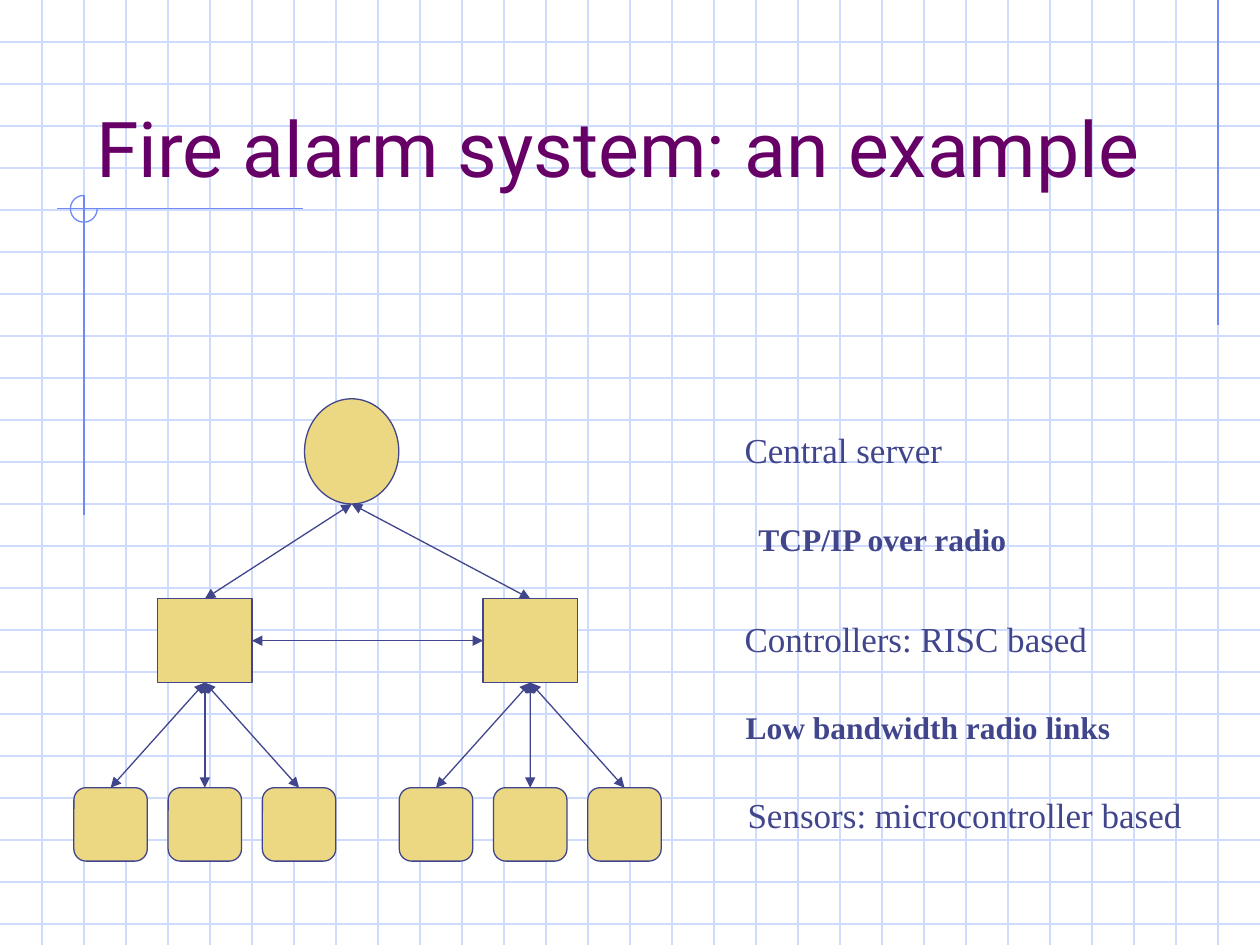
"""Build the fire alarm system slide: a server, its controllers and their sensors."""
import pptx
import pptx.dml.color
import pptx.enum.shapes
import pptx.enum.text
import pptx.oxml
import pptx.oxml.ns
import pptx.util

Cm = pptx.util.Cm
Kind = pptx.enum.shapes.MSO_SHAPE
Anchor = pptx.enum.text.MSO_ANCHOR

WIDE, HIGH = 25.4, 19.05
STEP = WIDE / 30
GRID, RULE, INK, SAND, PLUM = "CFDBFD", "6F89F7", "40458C", "ECD882", "660066"
SERIF = "Times New Roman"
LABELS = [
    ("Central server", 14.76, 8.51, 20, False),
    ("TCP/IP over radio", 15.04, 10.36, 18, True),
    ("Controllers: RISC based", 14.76, 12.32, 20, False),
    ("Low bandwidth radio links", 14.78, 14.15, 18, True),
    ("Sensors: microcontroller based", 14.82, 15.88, 20, False),
]


def color(code):
    return pptx.dml.color.RGBColor.from_string(code)


def add_line(slide, x1, y1, x2, y2, code):
    line = slide.shapes.add_connector(
        pptx.enum.shapes.MSO_CONNECTOR.STRAIGHT, Cm(x1), Cm(y1), Cm(x2), Cm(y2))
    line.line.color.rgb = color(code)
    line.line.width = pptx.util.Pt(0.75)
    props = line._element.spPr
    props.append(pptx.oxml.parse_xml(
        "<a:effectLst %s/>" % pptx.oxml.ns.nsdecls("a")))
    return line


def add_link(slide, x1, y1, x2, y2):
    link = add_line(slide, x1, y1, x2, y2, INK)
    stroke = link.line._get_or_add_ln()
    for end in ("headEnd", "tailEnd"):
        stroke.append(pptx.oxml.parse_xml(
            '<a:%s %s type="triangle"/>' % (end, pptx.oxml.ns.nsdecls("a"))))
    return link


def add_node(slide, kind, mid, top, width, height):
    node = slide.shapes.add_shape(
        kind, Cm(mid - width / 2), Cm(top), Cm(width), Cm(height))
    node.shadow.inherit = False
    node.fill.solid()
    node.fill.fore_color.rgb = color(SAND)
    node.line.color.rgb = color(INK)
    node.line.width = pptx.util.Pt(0.75)
    return node


def add_text(slide, text, left, top, width, height, size, font, code, bold=False):
    box = slide.shapes.add_textbox(Cm(left), Cm(top), Cm(width), Cm(height))
    frame = box.text_frame
    frame.word_wrap = True
    frame.text = text
    face = frame.paragraphs[0].runs[0].font
    face.size = pptx.util.Pt(size)
    face.name = font
    face.bold = bold
    face.color.rgb = color(code)
    return frame


def add_grid(slide):
    for row in range(1, 23):
        add_line(slide, 0, row * STEP, WIDE, row * STEP, GRID)
    for col in range(1, 30):
        add_line(slide, col * STEP, 0, col * STEP, HIGH, GRID)


def add_trim(slide):
    add_line(slide, 29 * STEP, 0, 29 * STEP, 6.55, RULE)
    add_line(slide, 6.1, 4.21, 1.14, 4.21, RULE)
    add_line(slide, 2 * STEP, 3.94, 2 * STEP, 10.39, RULE)
    arc = slide.shapes.add_shape(Kind.ARC, Cm(1.42), Cm(3.94), Cm(0.54), Cm(0.54))
    arc.adjustments[0] = 0
    arc.adjustments[1] = 162
    arc.shadow.inherit = False
    arc.fill.background()
    arc.line.color.rgb = color(RULE)
    arc.line.width = pptx.util.Pt(0.75)


def add_cluster(slide, mid):
    """Add a controller with three linked sensors and return the controller."""
    hub = add_node(slide, Kind.RECTANGLE, mid, 12.07, 1.9, 1.69)
    for place in (-1, 0, 1):
        spot = mid + place * 1.9
        sensor = add_node(slide, Kind.ROUNDED_RECTANGLE, spot, 15.88, 1.48, 1.48)
        link = add_link(slide, spot, 15.88, mid, 13.76)
        link.begin_connect(sensor, 0)
        link.end_connect(hub, 2)
    return hub


def add_system(slide):
    mids = (4.13, 10.69)
    hubs = [add_cluster(slide, mid) for mid in mids]
    add_node(slide, Kind.OVAL, 7.09, 8.04, 1.9, 2.12)
    for hub, mid in zip(hubs, mids):
        add_link(slide, mid, 12.07, 7.09, 10.16).begin_connect(hub, 0)
    peer = add_link(slide, 5.08, 12.91, 9.74, 12.91)
    peer.begin_connect(hubs[0], 3)
    peer.end_connect(hubs[1], 1)


def main():
    deck = pptx.Presentation()
    deck.slide_width, deck.slide_height = Cm(WIDE), Cm(HIGH)
    slide = deck.slides.add_slide(deck.slide_layouts[6])
    add_grid(slide)
    add_trim(slide)
    title = add_text(slide, "Fire alarm system: an example",
                     1.69, 0.85, 22.43, 3.17, 44, "Roboto", PLUM)
    title.vertical_anchor = Anchor.BOTTOM
    add_system(slide)
    for text, left, top, size, bold in LABELS:
        add_text(slide, text, left, top, 9.93, 1.1, size, SERIF, INK, bold)
    deck.save("out.pptx")


if __name__ == "__main__":
    main()
